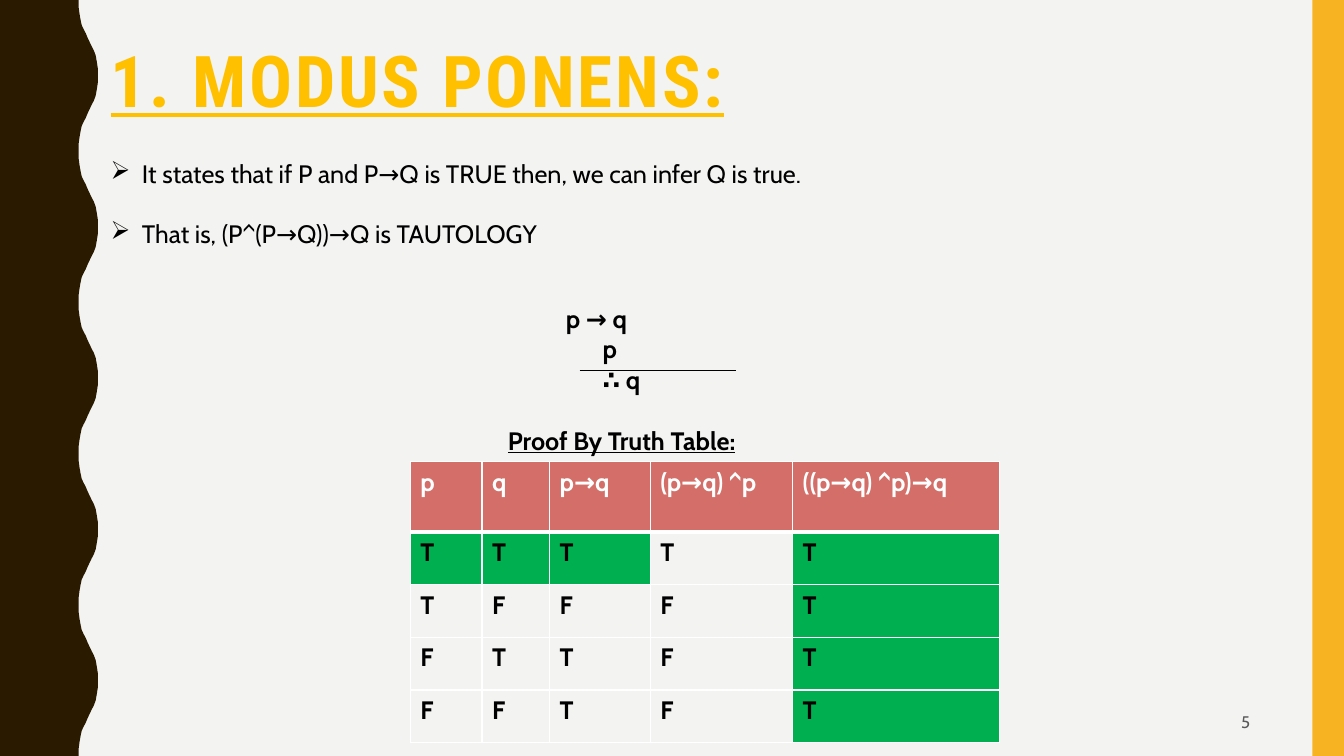
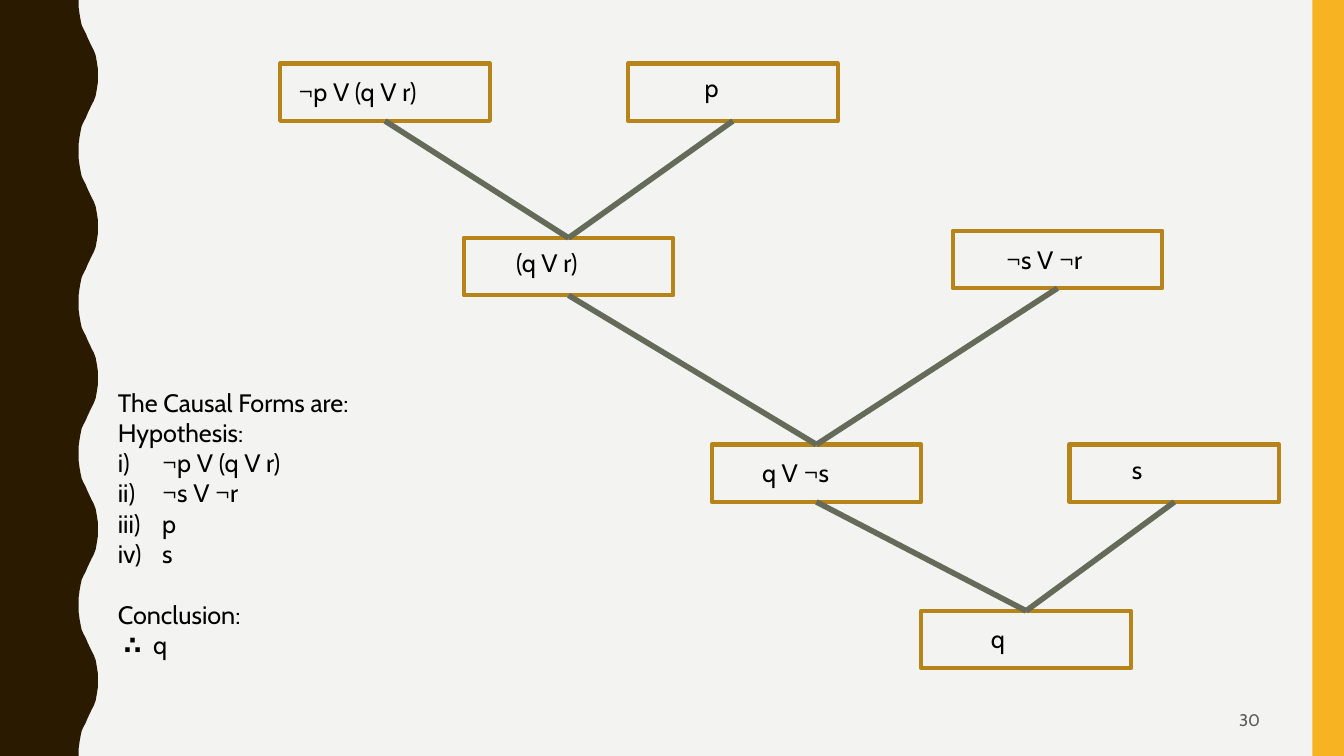
from dataclasses import dataclass
from typing import Any

from lxml.etree import SubElement
from pptx import Presentation
from pptx.dml.color import RGBColor
from pptx.enum.shapes import MSO_CONNECTOR, MSO_SHAPE
from pptx.enum.text import MSO_ANCHOR, PP_ALIGN
from pptx.oxml.ns import qn
from pptx.util import Emu, Inches, Pt


@dataclass(frozen=True)
class Theme:
    page: str = "F3F3F2"
    wave: str = "2A1A00"
    band: str = "F8B323"
    title: str = "FFC000"
    ink: str = "000000"
    muted: str = "595959"
    white: str = "FFFFFF"
    header: str = "D36F68"
    marked: str = "00B050"
    box_line: str = "B7841A"
    branch: str = "656A59"
    title_font: str = "Roboto Condensed"
    body_font: str = "Cabin"
    title_size: int = 51
    body_size: int = 18
    number_size: int = 12


THEME = Theme()
WIDTH, HEIGHT = Inches(13.33), Inches(7.5)


# Every length below is a percentage of the slide's width or height
def across(share: float) -> Emu:
    return Emu(round(WIDTH * share / 100))


def down(share: float) -> Emu:
    return Emu(round(HEIGHT * share / 100))


@dataclass(frozen=True)
class Area:
    left: float
    top: float
    width: float
    height: float

    def place(self) -> tuple[Emu, Emu, Emu, Emu]:
        return across(self.left), down(self.top), across(self.width), down(self.height)


@dataclass(frozen=True)
class Style:
    size: int = THEME.body_size
    color: str = THEME.ink
    name: str = THEME.body_font
    bold: bool = False
    underline: bool = False
    tracking: int = 0


BODY = Style()
STRONG = Style(bold=True)
HEADING = Style(bold=True, underline=True)
HEADER = Style(bold=True, color=THEME.white)
NUMBER = Style(THEME.number_size, THEME.muted)
TITLE = Style(THEME.title_size, THEME.title, THEME.title_font, True, True, 200)


@dataclass(frozen=True)
class Line:
    spans: tuple[tuple[str, Style], ...]
    left: float = 0
    hang: float = 0
    before: float = 0
    spacing: float = 1
    bullet: str = ""
    numbering: str = ""
    align: Any = PP_ALIGN.LEFT


def line(text: str, style: Style = BODY, **layout: Any) -> Line:
    return Line(((text, style),), **layout)


@dataclass(frozen=True)
class Node:
    text: str
    left: float
    top: float
    text_left: float
    text_top: float


# Text
def write(frame: Any, lines: list[Line]) -> None:
    for index, item in enumerate(lines):
        para = frame.paragraphs[0] if index == 0 else frame.add_paragraph()
        layout = {"alignment": item.align, "line_spacing": item.spacing,
                  "space_before": Pt(item.before), "space_after": Pt(0)}
        for key, value in layout.items():
            setattr(para, key, value)
        properties = para._p.get_or_add_pPr()
        properties.set("marL", str(across(item.left)))
        properties.set("indent", str(-across(item.hang)))
        if item.bullet:
            SubElement(properties, qn("a:buChar"), char=item.bullet)
        elif item.numbering:
            SubElement(properties, qn("a:buAutoNum"), type=item.numbering)
        else:
            SubElement(properties, qn("a:buNone"))
        for text, style in item.spans:
            span = para.add_run()
            span.text = text
            formats = {"name": style.name, "size": Pt(style.size),
                       "bold": style.bold, "underline": style.underline}
            for key, value in formats.items():
                setattr(span.font, key, value)
            span.font.color.rgb = RGBColor.from_string(style.color)
            if style.tracking:
                span._r.get_or_add_rPr().set("spc", str(style.tracking))


def add_text(page: Any, area: Area, lines: list[Line], anchor: Any = MSO_ANCHOR.TOP) -> None:
    frame = page.shapes.add_textbox(*area.place()).text_frame
    frame.word_wrap = True
    frame.vertical_anchor = anchor
    write(frame, lines)


# Shapes and lines
def paint(shape: Any, color: str) -> None:
    shape.shadow.inherit = False
    shape.fill.solid()
    shape.fill.fore_color.rgb = RGBColor.from_string(color)
    shape.line.fill.background()


def add_line(page: Any, ends: tuple[Any, ...], color: str, width: float) -> Any:
    connector = page.shapes.add_connector(MSO_CONNECTOR.STRAIGHT, *ends)
    connector.line.color.rgb = RGBColor.from_string(color)
    connector.line.width = Pt(width)
    SubElement(connector._element.spPr, qn("a:effectLst"))
    return connector


# Shared page: wavy left edge, right band, page number
WAVES = 5
RISE = [(5.85, 0), (5.85, 0.93), (5.92, 1.87), (6, 2.67), (6.08, 3.33),
        (6.22, 3.87), (6.38, 4.4), (6.52, 5), (6.68, 5.6), (6.82, 6.13),
        (6.98, 6.67), (7.12, 7.33), (7.2, 8.13), (7.28, 9.07), (7.28, 10)]


def add_page(deck: Any, number: str, left: float, top: float) -> Any:
    page = deck.slides.add_slide(deck.slide_layouts[6])
    page.background.fill.solid()
    page.background.fill.fore_color.rgb = RGBColor.from_string(THEME.page)
    period = 100 / WAVES
    wave = RISE + [(x, period - y) for x, y in reversed(RISE[:-1])]
    edge = [(across(x), down(y + period * turn)) for turn in range(WAVES) for x, y in wave]
    outline = page.shapes.build_freeform(0, 0)
    outline.add_line_segments(edge + [(0, HEIGHT)], close=True)
    paint(outline.convert_to_shape(), THEME.wave)
    band = page.shapes.add_shape(MSO_SHAPE.RECTANGLE, *Area(97.65, 0, 2.35, 100).place())
    paint(band, THEME.band)
    add_text(page, Area(left, top, 23.1, 5.07),
             [line(number, NUMBER, align=PP_ALIGN.RIGHT)], MSO_ANCHOR.MIDDLE)
    return page


# Truth table
COLUMNS = [5.33, 5.03, 7.5, 10.58, 15.4]
ROWS = [9.3] + [6.97] * 4
TRUTH = [["p", "q", "p→q", "(p→q) ^p", "((p→q) ^p)→q"],
         list("TTTTT"), list("TFFFT"), list("FTTFT"), list("FFTFT")]
MARKED = {(1, 0), (1, 1), (1, 2)} | {(row, 4) for row in range(1, 5)}


def add_borders(cell: Any, row: int) -> None:
    heavy = {"lnT": row == 1, "lnB": row == 0}
    for side in ("lnL", "lnR", "lnT", "lnB"):
        width = Pt(3 if heavy.get(side) else 1)
        border = SubElement(cell._tc.get_or_add_tcPr(), qn(f"a:{side}"), w=str(width))
        SubElement(SubElement(border, qn("a:solidFill")), qn("a:srgbClr"), val=THEME.white)


def add_truth_table(page: Any, left: float, top: float) -> None:
    area = Area(left, top, sum(COLUMNS), sum(ROWS))
    table = page.shapes.add_table(len(ROWS), len(COLUMNS), *area.place()).table
    table.horz_banding = False
    for column, share in zip(table.columns, COLUMNS):
        column.width = across(share)
    for row, share in zip(table.rows, ROWS):
        row.height = down(share)
    for row, values in enumerate(TRUTH):
        for column, value in enumerate(values):
            cell = table.cell(row, column)
            add_borders(cell, row)
            if row == 0 or (row, column) in MARKED:
                cell.fill.solid()
                color = THEME.marked if row else THEME.header
                cell.fill.fore_color.rgb = RGBColor.from_string(color)
            else:
                cell.fill.background()
            write(cell.text_frame, [line(value, STRONG if row else HEADER)])


def build_modus_ponens(deck: Any) -> None:
    page = add_page(deck, "5", 70.65, 92.93)
    add_text(page, Area(7.5, 5.47, 70, 13.07), [line("1. MODUS PONENS:", TITLE, spacing=0.9)])
    statements = ["It states that if P and P→Q is TRUE then, we can infer Q is true.",
                  "That is, (P^(P→Q))→Q is TAUTOLOGY"]
    add_text(page, Area(7.5, 16.27, 90, 17.47),
             [line(text, left=2.33, hang=2.33, spacing=2, bullet="➢") for text in statements])
    add_text(page, Area(37.05, 39.47, 37.7, 21.6), [
        line("p → q", STRONG, left=4.31),
        line("p", STRONG, left=7.05),
        line("∴ q", STRONG, left=7.05),
        line("Proof By Truth Table:", HEADING, before=22),
    ])
    add_truth_table(page, 30.53, 61.07)
    rule = down(48.93)
    add_line(page, (across(43.13), rule, across(54.75), rule), THEME.ink, 0.5)


# Resolution tree
BOX_WIDTH, BOX_HEIGHT = 15.6, 7.6
NODES = {
    "rule": Node("¬p V (q V r)", 20.85, 8.4, 1.35, 1.73),
    "p": Node("p", 46.73, 8.4, 5.7, 1.2),
    "q or r": Node("(q V r)", 34.5, 31.47, 3.9, 1.2),
    "not both": Node("¬s V ¬r", 70.88, 30.53, 3.98, 1.73),
    "q or not s": Node("q V ¬s", 52.95, 58.8, 3.75, 1.73),
    "s": Node("s", 79.58, 58.8, 4.65, 1.33),
    "q": Node("q", 68.55, 80.8, 5.18, 1.6),
}
BRANCHES = [("rule", "q or r"), ("p", "q or r"), ("not both", "q or not s"),
            ("q or r", "q or not s"), ("q or not s", "q"), ("s", "q")]


def add_node(page: Any, node: Node) -> Any:
    area = Area(node.left, node.top, BOX_WIDTH, BOX_HEIGHT)
    box = page.shapes.add_shape(MSO_SHAPE.RECTANGLE, *area.place())
    box.shadow.inherit = False
    box.fill.background()
    box.line.color.rgb = RGBColor.from_string(THEME.box_line)
    box.line.width = Pt(3)
    formats = {"margin_left": across(node.text_left), "margin_top": down(node.text_top),
               "margin_right": 0, "margin_bottom": 0,
               "vertical_anchor": MSO_ANCHOR.TOP, "word_wrap": True}
    for key, value in formats.items():
        setattr(box.text_frame, key, value)
    write(box.text_frame, [line(node.text)])
    return box


def build_resolution_tree(deck: Any) -> None:
    page = add_page(deck, "30", 71.4, 92.67)
    boxes = {key: add_node(page, node) for key, node in NODES.items()}
    hypotheses = ["¬p V (q V r)", "¬s V ¬r", "p", "s"]
    add_text(page, Area(8.03, 50.53, 36.23, 37.73), [
        line("The Causal Forms are:"),
        line("Hypothesis:"),
        *[line(text, left=3.3, hang=3.3, numbering="romanLcParenR") for text in hypotheses],
        line("Conclusion:", before=22),
        Line((("∴\t", STRONG), ("q", BODY)), left=2.63, hang=2.18),
    ])
    for parent, child in BRANCHES:
        branch = add_line(page, (0, 0, 0, 0), THEME.branch, 4)
        branch.begin_connect(boxes[parent], 2)
        branch.end_connect(boxes[child], 0)


def main() -> None:
    deck = Presentation()
    deck.slide_width, deck.slide_height = WIDTH, HEIGHT
    build_modus_ponens(deck)
    build_resolution_tree(deck)
    deck.save("out.pptx")


if __name__ == "__main__":
    main()
